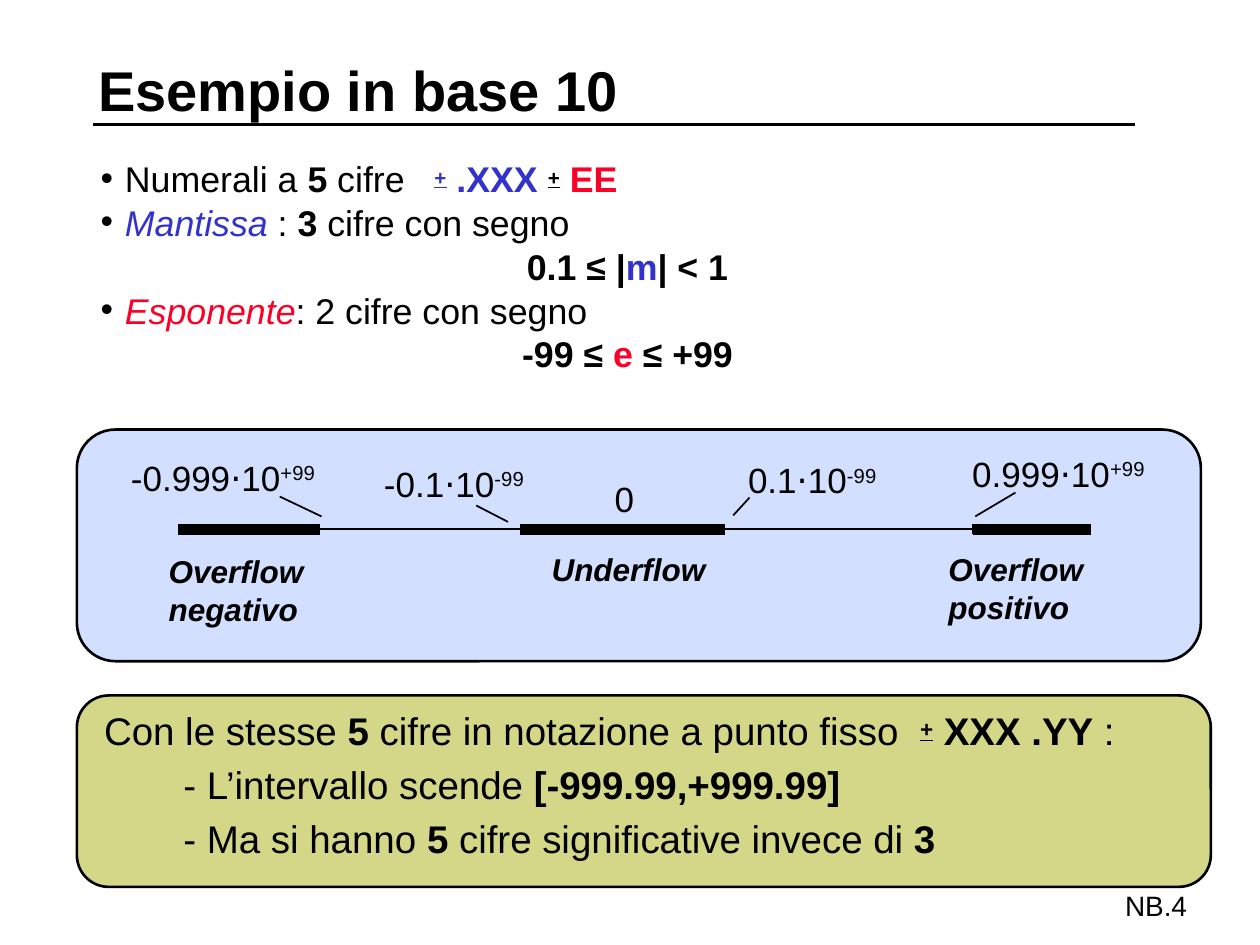
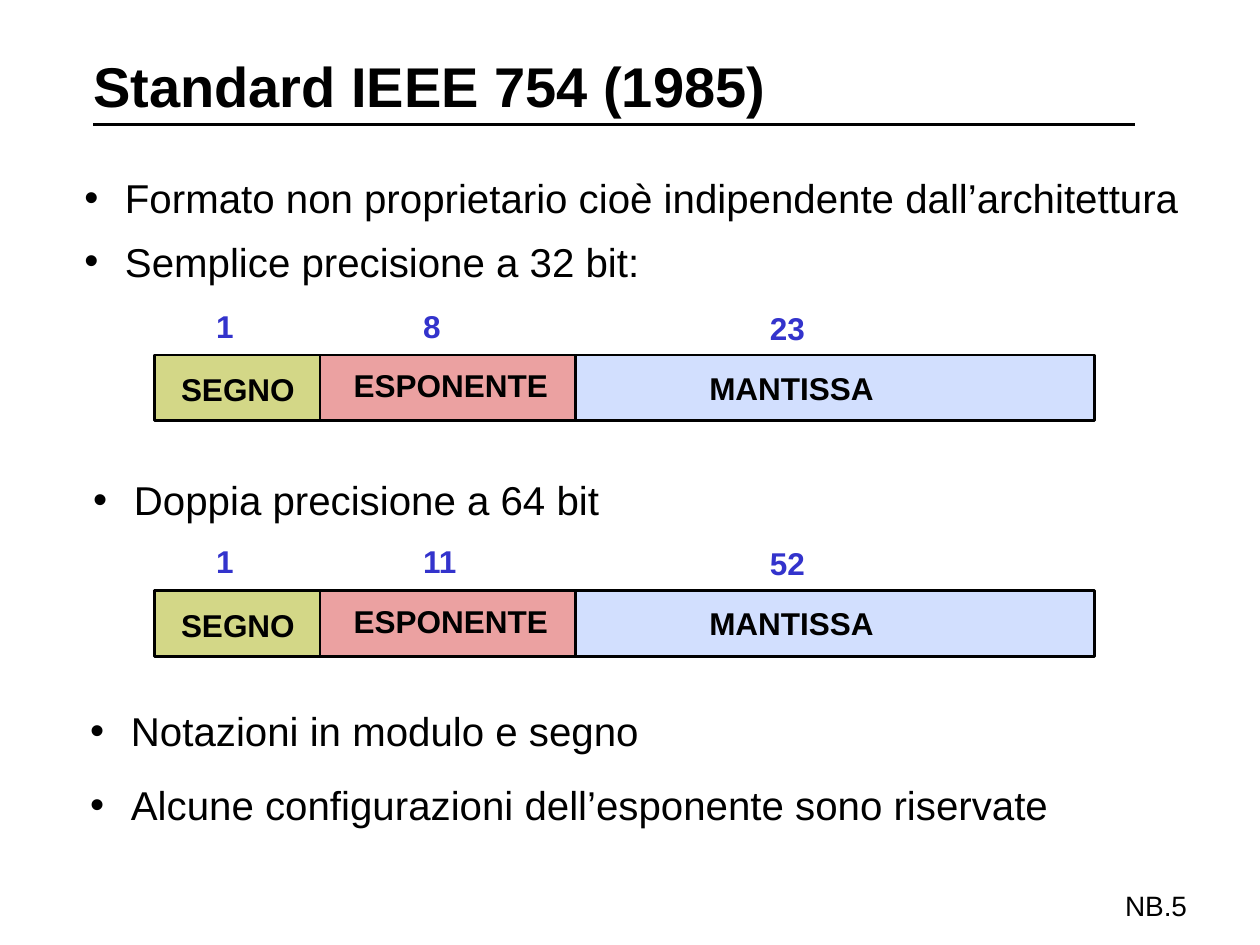
"""Build two slides on floating-point notation and the IEEE 754 formats."""
from dataclasses import dataclass
from typing import NamedTuple, Optional

from pptx import Presentation
from pptx.dml.color import RGBColor
from pptx.enum.shapes import MSO_CONNECTOR, MSO_SHAPE
from pptx.enum.text import MSO_ANCHOR, PP_ALIGN
from pptx.oxml.ns import qn
from pptx.slide import Slide
from pptx.util import Cm, Pt
from lxml.etree import SubElement


@dataclass(frozen=True)
class Theme:
    font: str = "Arial"
    ink: str = "000000"
    blue: str = "3333CC"
    red: str = "FC0128"
    olive: str = "D3D787"
    sky: str = "D2DFFE"
    rose: str = "EBA1A1"
    title: float = 32
    bullet: float = 23
    note: float = 22
    definition: float = 20.4
    value: float = 20
    label: float = 18
    footer: float = 16
    outline: float = 1.5
    hairline: float = 1
    band: float = 6


THEME = Theme()


class Box(NamedTuple):
    left: float
    top: float
    width: float
    height: float


class Span(NamedTuple):
    text: str
    color: str = THEME.ink
    bold: bool = False
    italic: bool = False
    underline: bool = False
    raised: int = 0
    spread: float = 0


class Para(NamedTuple):
    spans: list[Span]
    indent: float = 0
    bullet: bool = False
    align: PP_ALIGN = PP_ALIGN.LEFT


class Spacing(NamedTuple):
    line: Optional[float] = None
    before: float = 0


class Segment(NamedTuple):
    x1: float
    y1: float
    x2: float
    y2: float
    weight: float = THEME.hairline


class PowerLabel(NamedTuple):
    mantissa: str
    exponent: str
    box: Box


class RangeLabel(NamedTuple):
    lines: list[str]
    box: Box


class Field(NamedTuple):
    name: str
    fill: str
    width: float
    name_left: float
    name_drop: float
    bits_left: float
    bits_rise: float


class Format(NamedTuple):
    top: float
    bits: list[str]


def bold(text: str, color: str = THEME.ink) -> Span:
    """Return a bold span."""
    return Span(text, color, bold=True)


def sign(color: str = THEME.ink) -> Span:
    """Return the raised, underlined plus that stands for plus or minus."""
    return Span("+", color, bold=True, underline=True, raised=20)


def format_paragraph(paragraph, para: Para, spacing: Spacing) -> None:
    """Apply spacing, indent and bullet to a paragraph."""
    settings = {"alignment": para.align, "line_spacing": spacing.line,
                "space_before": Pt(spacing.before)}
    for attribute, setting in settings.items():
        setattr(paragraph, attribute, setting)
    properties = paragraph._p.get_or_add_pPr()
    properties.set("marL", str(Cm(para.indent)))
    properties.set("indent", str(-Cm(para.indent) if para.bullet else 0))
    if para.bullet:
        tint = SubElement(properties, qn("a:buClr"))
        SubElement(tint, qn("a:srgbClr")).set("val", THEME.ink)
        SubElement(properties, qn("a:buFont")).set("typeface", THEME.font)
        SubElement(properties, qn("a:buChar")).set("char", "•")


def add_span(paragraph, span: Span, size: float) -> None:
    """Append a formatted run to a paragraph."""
    run = paragraph.add_run()
    run.text = span.text
    settings = {"name": THEME.font, "size": Pt(size), "bold": span.bold,
                "italic": span.italic, "underline": span.underline}
    for attribute, setting in settings.items():
        setattr(run.font, attribute, setting)
    run.font.color.rgb = RGBColor.from_string(span.color)
    properties = run._r.get_or_add_rPr()
    if span.raised:
        properties.set("baseline", str(span.raised * 1000))
    if span.spread:
        properties.set("spc", str(round(span.spread * 100)))


def add_text(slide: Slide, box: Box, paras: list[Para], size: float,
             spacing: Spacing = Spacing(), anchor: MSO_ANCHOR = MSO_ANCHOR.TOP) -> None:
    """Add a wrapped text box of formatted paragraphs."""
    frame = slide.shapes.add_textbox(*map(Cm, box)).text_frame
    frame.word_wrap = True
    frame.vertical_anchor = anchor
    for index, para in enumerate(paras):
        paragraph = frame.add_paragraph() if index else frame.paragraphs[0]
        format_paragraph(paragraph, para, spacing)
        for span in para.spans:
            add_span(paragraph, span, size)


def add_panel(slide: Slide, kind: MSO_SHAPE, box: Box, fill: Optional[str],
              outlined: bool = True) -> None:
    """Add a plain shape with optional fill and black outline."""
    panel = slide.shapes.add_shape(kind, *map(Cm, box))
    panel.shadow.inherit = False
    if fill:
        panel.fill.solid()
        panel.fill.fore_color.rgb = RGBColor.from_string(fill)
    else:
        panel.fill.background()
    if outlined:
        panel.line.color.rgb = RGBColor.from_string(THEME.ink)
        panel.line.width = Pt(THEME.outline)
    else:
        panel.line.fill.background()


def add_segment(slide: Slide, segment: Segment) -> None:
    """Add a straight black line."""
    connector = slide.shapes.add_connector(MSO_CONNECTOR.STRAIGHT, *map(Cm, segment[:4]))
    connector.line.color.rgb = RGBColor.from_string(THEME.ink)
    connector.line.width = Pt(segment.weight)
    SubElement(connector._element.spPr, qn("a:effectLst"))


def add_base(deck, title: str, left: float, top: float, footer: str) -> Slide:
    """Add a blank slide with title, title rule and footer."""
    slide = deck.slides.add_slide(deck.slide_layouts[6])
    add_text(slide, Box(22.43, 17.78, 2.84, 0.91), [Para([Span(footer)])], THEME.footer)
    add_segment(slide, Segment(1.88, 2.51, 22.89, 2.51, THEME.outline))
    add_text(slide, Box(left, top, 21.59, 1.14), [Para([bold(title)])], THEME.title,
             anchor=MSO_ANCHOR.MIDDLE)
    return slide


def add_number_line(slide: Slide) -> None:
    """Draw the representable range with its overflow and underflow zones."""
    axis = 10.67
    add_segment(slide, Segment(4.32, axis, 21.26, axis))
    for x in (6.43, 10.52, 12.67, 14.58, 19.61):
        add_segment(slide, Segment(x, axis - 0.1, x, axis + 0.1))
    for start, end in ((3.58, 6.45), (10.49, 14.61), (19.61, 22)):
        add_segment(slide, Segment(start, axis, end, axis, THEME.band))
    leaders = [Segment(5.64, 10.01, 6.48, 10.41), Segment(9.6, 10.19, 10.24, 10.52),
               Segment(15.11, 10.03, 14.78, 10.39), Segment(20.47, 9.93, 19.66, 10.41)]
    for leader in leaders:
        add_segment(slide, leader)
    limits = [
        PowerLabel("-0.999⋅10", "+99", Box(2.39, 9.07, 4.5, 1.09)),
        PowerLabel("-0.1⋅10", "-99", Box(7.49, 9.19, 3.6, 1.09)),
        PowerLabel("0", "", Box(12.14, 9.5, 0.95, 1.09)),
        PowerLabel("0.1⋅10", "-99", Box(14.83, 9.12, 3.2, 1.09)),
        PowerLabel("0.999⋅10", "+99", Box(19.35, 8.99, 4.25, 1.09)),
    ]
    for limit in limits:
        spans = [Span(limit.mantissa)]
        if limit.exponent:
            spans.append(Span(limit.exponent, raised=30))
        add_text(slide, limit.box, [Para(spans)], THEME.value)
    zones = [
        RangeLabel(["Overflow", "negativo"], Box(3.15, 11, 3.3, 1.78)),
        RangeLabel(["Underflow"], Box(10.87, 10.97, 3.7, 1.02)),
        RangeLabel(["Overflow", "positivo"], Box(18.87, 10.97, 3.3, 1.78)),
    ]
    for zone in zones:
        paras = [Para([Span(line, bold=True, italic=True)]) for line in zone.lines]
        add_text(slide, zone.box, paras, THEME.label)


def build_base_ten(deck) -> None:
    """Build the slide with the base 10 example."""
    slide = add_base(deck, "Esempio in base 10", 1.73, 1.22, "NB.4")
    add_panel(slide, MSO_SHAPE.ROUNDED_RECTANGLE, Box(1.55, 14.02, 22.86, 3.86), THEME.olive)
    add_panel(slide, MSO_SHAPE.ROUNDED_RECTANGLE, Box(1.55, 8.66, 22.66, 4.67), THEME.sky)
    hang = 0.49
    definitions = [
        Para([Span("Numerali a "), bold("5"), Span(" cifre"), Span(" ", spread=11.3),
              sign(THEME.blue), bold(" .XXX ", THEME.blue), sign(),
              bold(" EE", THEME.red)], hang, True),
        Para([Span("Mantissa", THEME.blue, italic=True), Span(" : "), bold("3"),
              Span(" cifre con segno")], hang, True),
        Para([bold("0.1 ≤ |"), bold("m", THEME.blue), bold("| < 1")], align=PP_ALIGN.CENTER),
        Para([Span("Esponente", THEME.red, italic=True), Span(": 2 cifre con segno")],
             hang, True),
        Para([bold("-99 ≤ "), bold("e ", THEME.red), bold("≤ +99")], align=PP_ALIGN.CENTER),
    ]
    add_text(slide, Box(1.78, 3.2, 21.74, 4.57), definitions, THEME.definition,
             Spacing(0.8, 5.5))
    add_number_line(slide)
    fixed_point = [
        Para([Span("Con le stesse "), bold("5"), Span(" cifre in notazione a punto fisso"),
              Span(" ", spread=6.1), sign(), bold(" XXX .YY"), Span(" :")], 0.2),
        Para([Span("- L’intervallo scende "), bold("[-999.99,+999.99]")], 1.8),
        Para([Span("- Ma si hanno "), bold("5"), Span(" cifre significative invece di "),
              bold("3")], 1.8),
    ]
    add_text(slide, Box(1.65, 14.42, 23.14, 3.1), fixed_point, THEME.note,
             Spacing(0.65, 13.8))


def add_format(slide: Slide, layout: Format, fields: list[Field]) -> None:
    """Draw one number format as a bar of fields with their bit counts."""
    start, height = 3.12, 1.32
    left = start
    for field in fields:
        add_panel(slide, MSO_SHAPE.RECTANGLE, Box(left, layout.top, field.width, height),
                  field.fill, outlined=False)
        left += field.width
    add_panel(slide, MSO_SHAPE.RECTANGLE, Box(start, layout.top, left - start, height), None)
    divider = start
    for field in fields[:-1]:
        divider += field.width
        add_segment(slide, Segment(divider, layout.top, divider, layout.top + height,
                                   THEME.outline))
    for field, bits in zip(fields, layout.bits):
        add_text(slide, Box(field.name_left, layout.top + field.name_drop, 4.5, 1.02),
                 [Para([bold(field.name)])], THEME.label)
        add_text(slide, Box(field.bits_left, layout.top - field.bits_rise, 1.68, 1.02),
                 [Para([bold(bits, THEME.blue)])], THEME.label)


def build_ieee(deck) -> None:
    """Build the slide with the IEEE 754 formats."""
    slide = add_base(deck, "Standard IEEE 754 (1985)", 1.63, 1.14, "NB.5")
    fields = [
        Field("SEGNO", THEME.olive, 3.33, 3.4, 0.18, 4.11, 1.1),
        Field("ESPONENTE", THEME.rose, 5.15, 6.88, 0.1, 8.28, 1.1),
        Field("MANTISSA", THEME.sky, 10.47, 14.05, 0.15, 15.27, 1.06),
    ]
    for layout in (Format(7.16, ["1", "8", "23"]), Format(11.91, ["1", "11", "52"])):
        add_format(slide, layout, fields)
    points = [
        (Box(1.45, 3.56, 23.22, 2.31), Spacing(0.8, 14.4),
         ["Formato non proprietario cioè indipendente dall’architettura",
          "Semplice precisione a 32 bit:"]),
        (Box(1.63, 9.45, 22.07, 1.27), Spacing(before=14.4), ["Doppia precisione a 64 bit"]),
        (Box(1.57, 14.12, 22.1, 2.74), Spacing(before=14.4),
         ["Notazioni in modulo e segno",
          "Alcune configurazioni dell’esponente sono riservate"]),
    ]
    for box, spacing, lines in points:
        paras = [Para([Span(line)], 0.82, True) for line in lines]
        add_text(slide, box, paras, THEME.bullet, spacing)


def main() -> None:
    """Build the deck and save it."""
    deck = Presentation()
    deck.slide_width, deck.slide_height = Cm(25.4), Cm(19.05)
    build_base_ten(deck)
    build_ieee(deck)
    deck.save("out.pptx")


if __name__ == "__main__":
    main()
